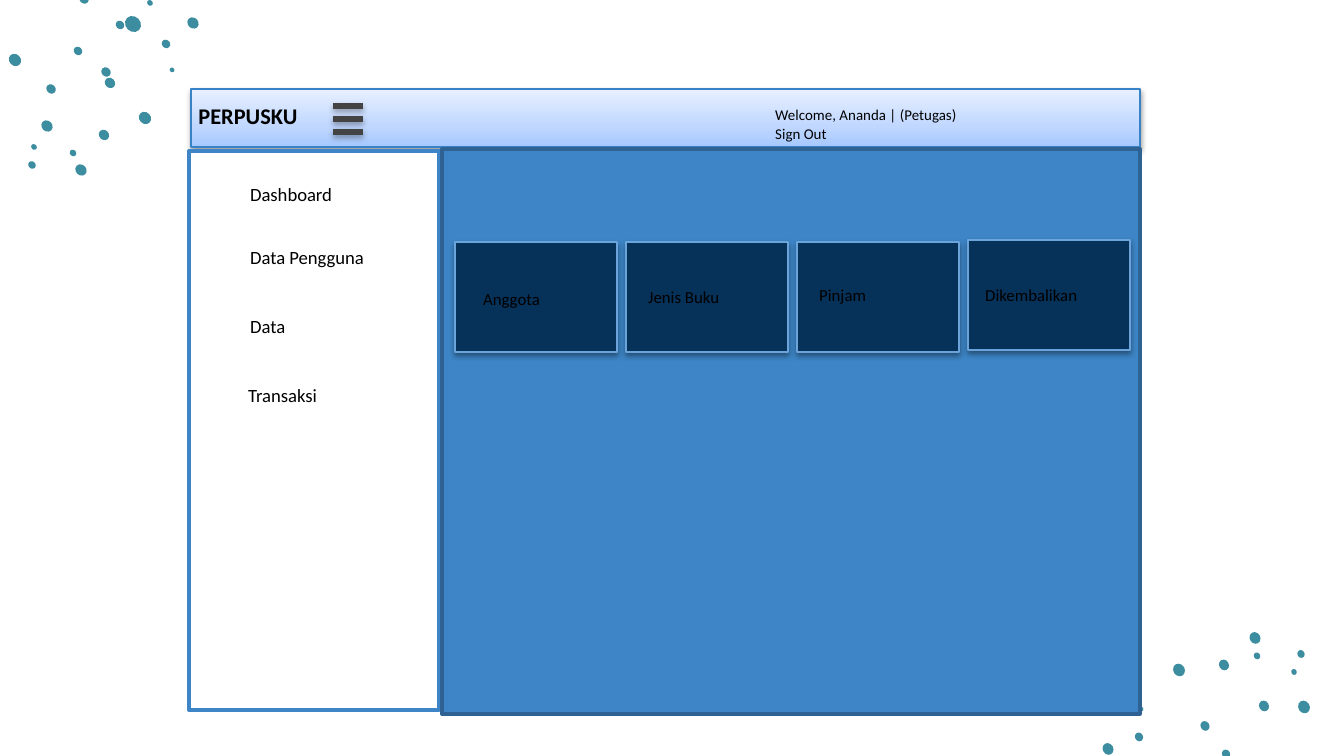
"""Build the PERPUSKU library dashboard slide."""
from copy import deepcopy

from lxml.etree import SubElement
from pptx import Presentation
from pptx.dml.color import RGBColor
from pptx.enum.shapes import MSO_CONNECTOR, MSO_SHAPE
from pptx.enum.text import MSO_ANCHOR, MSO_AUTO_SIZE, PP_ALIGN
from pptx.oxml.ns import qn
from pptx.util import Pt

PX = 914400 / 134.4
HEX = {
    "dot": "3C8DA0", "ink": "000000", "white": "FFFFFF", "edge": "3882C5",
    "low": "A5C8FF", "mid": "C0D7FF", "high": "E7F0FF", "icon": "434343",
    "blue": "3D85C6", "deep": "2D6292", "card": "063159", "rim": "6AA4DA",
}
DOTS = {
    45: [(133, 24, 17), (150, 3, 6), (84, -1, 10), (120, 25, 9), (78, 51, 9),
         (106, 72, 10), (110, 83, 11), (51, 89, 10), (104, 135, 11),
         (47, 126, 12), (73, 153, 7), (81, 170, 12), (34, 147, 6),
         (32, 165, 8), (145, 118, 13), (193, 23, 12), (166, 44, 9),
         (172, 70, 5), (15, 60, 13)],
    60: [(1226, 754, 9), (1205, 726, 10), (1264, 706, 11), (1224, 665, 11),
         (1257, 656, 7), (1255, 638, 12), (1294, 672, 6), (1301, 654, 8),
         (1179, 670, 13), (1108, 749, 12), (1139, 737, 9), (1141, 709, 5),
         (1304, 707, 13)],
}
STOPS = [(0, "low"), (0.35, "mid"), (1, "high")]
TITLE = "PERPUSKU"
USER = "Welcome, Ananda | (Petugas)\vSign Out"
MENU = [("Dashboard", 237, 175), ("Data Pengguna", 237, 238),
        ("Data", 237, 307), ("Transaksi", 235, 376)]
CARDS = [("Anggota", 470, 281, 242), ("Jenis Buku", 635, 279, 242),
         ("Pinjam", 806, 277, 242), ("Dikembalikan", 972, 277, 240)]


def px(*nums):
    return [round(n * PX) for n in nums]


def tint(name):
    return RGBColor.from_string(HEX[name])


def rect(box, fill, line, width):
    item = slide.shapes.add_shape(MSO_SHAPE.RECTANGLE, *px(*box))
    item.fill.solid()
    item.fill.fore_color.rgb = tint(fill)
    item.line.color.rgb = tint(line)
    item.line.width = Pt(width)
    item.shadow.inherit = False
    return item


def cast(item, alpha):
    props = item._element.spPr
    list_el = props.find(qn("a:effectLst"))
    if list_el is None:
        list_el = SubElement(props, qn("a:effectLst"))
    glow = SubElement(list_el, qn("a:outerShdw"), blurRad=str(Pt(3.1)),
                      dist=str(Pt(1.6)), dir="5400000", rotWithShape="0")
    tone = SubElement(glow, qn("a:srgbClr"), val=HEX["ink"])
    SubElement(tone, qn("a:alpha"), val=str(alpha * 1000))


def style(item, text, size, bold=False):
    frame = item.text_frame
    frame.text = text
    frame.word_wrap = True
    frame.auto_size = MSO_AUTO_SIZE.NONE
    frame.vertical_anchor = MSO_ANCHOR.TOP
    para = frame.paragraphs[0]
    para.alignment = PP_ALIGN.LEFT
    para.line_spacing = 1.07
    para.space_before = Pt(0)
    para.space_after = Pt(8)
    para.font.name = "Calibri"
    para.font.size = Pt(size)
    para.font.bold = bold
    para.font.color.rgb = tint("ink")


def label(text, box, size):
    style(slide.shapes.add_textbox(*px(*box)), text, size)


deck = Presentation()
deck.slide_width, deck.slide_height = px(1344, 756)
slide = deck.slides.add_slide(deck.slide_layouts[5])

for turn, group in DOTS.items():
    for x, y, size in group:
        high = size * 0.88
        dot = slide.shapes.add_shape(
            MSO_SHAPE.OVAL, *px(x - size / 2, y - high / 2, size, high))
        dot.rotation = turn
        dot.fill.solid()
        dot.fill.fore_color.rgb = tint("dot")
        dot.line.fill.background()
        dot.shadow.inherit = False

bar = rect((191, 89, 949, 58), "low", "edge", 0.75)
bar.fill.gradient()
bar.fill.gradient_angle = 90
ramp = bar._element.spPr.find(".//" + qn("a:gsLst"))
ramp.insert(1, deepcopy(ramp[0]))
for stop, (place, name) in zip(bar.fill.gradient_stops, STOPS):
    stop.position = place
    stop.color.rgb = tint(name)
cast(bar, 38)

title = slide.shapes.title
title.left, title.top, title.width, title.height = px(185, 94, 142, 52)
style(title, TITLE, 12, True)
slide.shapes._spTree.append(title._element)

for row in range(3):
    y = 106 + 13 * row
    rule = slide.shapes.add_connector(
        MSO_CONNECTOR.STRAIGHT, *px(333, y, 363, y))
    rule.line.color.rgb = tint("icon")
    rule.line.width = Pt(3)
    cast(rule, 35)
label(USER, (762, 98, 379, 44), 8)

rect((189, 151, 250, 559), "white", "blue", 2)
for text, x, y in MENU:
    label(text, (x, y, 162, 46), 10)

rect((442, 149, 698, 565), "blue", "deep", 2)
for col, (text, x, y, top) in enumerate(CARDS):
    cast(rect((455 + 171 * col, top, 162, 110), "card", "rim", 0.75), 38)
    label(text, (x, y, 129, 44), 9)

deck.save("out.pptx")
